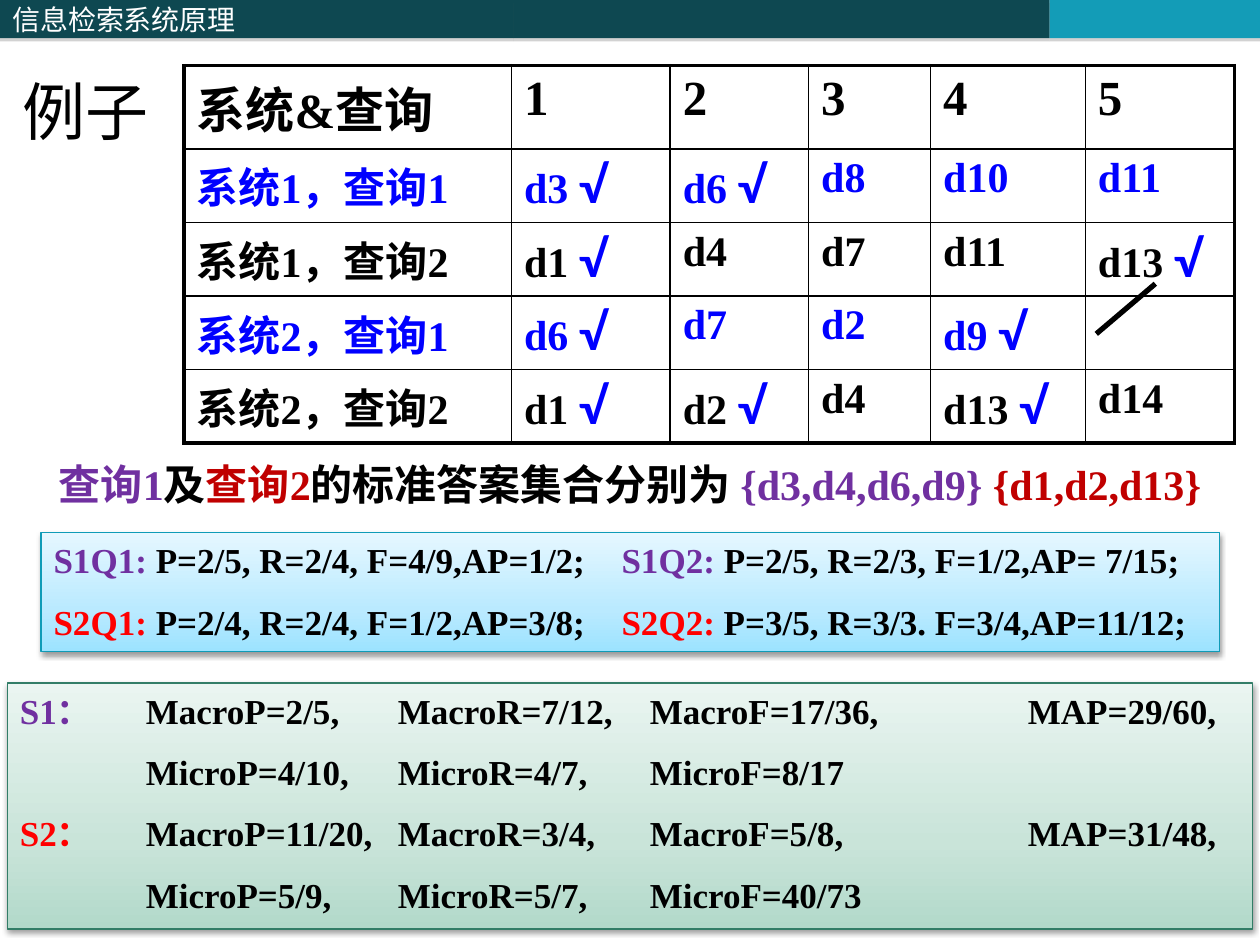
from copy import deepcopy
from lxml import etree
from pptx import Presentation
from pptx import util as u
from pptx.dml.color import RGBColor
from pptx.enum import shapes, text
from pptx.oxml import ns

BLACK = RGBColor(0, 0, 0)
WHITE = RGBColor(255, 255, 255)
BLUE = RGBColor(0, 0, 255)
RED = RGBColor(255, 0, 0)
DARK = RGBColor(0xC0, 0, 0)
PLUM = RGBColor(0x70, 0x30, 0xA0)
TEAL = RGBColor(0x0E, 0x48, 0x51)
CYAN = RGBColor(0x13, 0x9C, 0xB7)
SKY = [RGBColor(0x9D, 0xE3, 0xFF), RGBColor(0xBA, 0xEA, 0xFF), RGBColor(0xE5, 0xF7, 0xFF)]
MINT = [RGBColor(0xB2, 0xD9, 0xCA), RGBColor(0xC9, 0xE4, 0xD9), RGBColor(0xEA, 0xF5, 0xF1)]
SEA = RGBColor(0x0F, 0x9B, 0xB7)
PINE = RGBColor(0x32, 0x7D, 0x67)

SERIF, HAN, TICK = "Times New Roman", "Noto Sans CJK SC", "Lato"

bars = [(10.36, TEAL, "信息检索系统原理"), (10.8, TEAL, ""), (4.24, CYAN, "")]
cols = [6.6, 3.2, 2.79, 2.46, 3.12, 3.01]
rows = [
    (BLACK, ["系统&查询", "1", "2", "3", "4", "5"]),
    (BLUE, ["系统1，查询1", "d3 √", "d6 √", "d8", "d10", "d11"]),
    (BLACK, ["系统1，查询2", "d1 √", "d4", "d7", "d11", "d13 √"]),
    (BLUE, ["系统2，查询1", "d6 √", "d7", "d2", "d9 √", ""]),
    (BLACK, ["系统2，查询2", "d1 √", "d2 √", "d4", "d13 √", "d14"]),
]
answer = [
    ("查询1", PLUM), ("及", BLACK), ("查询2", DARK), ("的标准答案集合分别为 ", BLACK),
    ("{d3,d4,d6,d9} ", PLUM), ("{d1,d2,d13}", DARK),
]
boxes = [
    ((0.83, 10.74, 23.76, 2.39), SKY, SEA, [11.45], [
        [("S1Q1: ", PLUM), ("P=2/5, R=2/4, F=4/9,AP=1/2;\t", BLACK),
         ("S1Q2: ", PLUM), ("P=2/5, R=2/3, F=1/2,AP= 7/15;", BLACK)],
        [("S2Q1: ", RED), ("P=2/4, R=2/4, F=1/2,AP=3/8;\t", BLACK),
         ("S2Q2:", RED), (" P=3/5, R=3/3. F=3/4,AP=11/12;", BLACK)],
    ]),
    ((0.15, 13.77, 25.1, 4.96), MINT, PINE, [2.54, 7.62, 12.7, 20.32], [
        [("S1：\t", PLUM), ("MacroP=2/5,\tMacroR=7/12,\tMacroF=17/36,\tMAP=29/60,", BLACK)],
        [("\tMicroP=4/10,\tMicroR=4/7,\tMicroF=8/17", BLACK)],
        [("S2：\t", RED), ("MacroP=11/20,\tMacroR=3/4,\tMacroF=5/8,\tMAP=31/48,", BLACK)],
        [("\tMicroP=5/9,\tMicroR=5/7,\tMicroF=40/73", BLACK)],
    ]),
]


def put(obj, **vals):
    for key, val in vals.items():
        setattr(obj, key, val)


def sub(node, tag, **vals):
    return etree.SubElement(node, ns.qn(tag), {k: str(v) for k, v in vals.items()})


def say(par, words, hue, size, bold=True, face=SERIF, east=HAN):
    run = par.add_run()
    run.text = words
    put(run.font, name=face, size=u.Pt(size), bold=bold)
    run.font.color.rgb = hue
    sub(run.font._element, "a:ea", typeface=east)


def shade(shape, hue, alpha, blur, dist):
    shape.shadow.inherit = False
    glow = shape._element.spPr.find(ns.qn("a:effectLst"))
    drop = sub(glow, "a:outerShdw", blurRad=u.Pt(blur), dist=u.Pt(dist),
               dir=5400000, algn="t", rotWithShape=0)
    sub(sub(drop, "a:srgbClr", val=hue), "a:alpha", val=alpha * 1000)


def rect(slide, spot):
    return slide.shapes.add_shape(shapes.MSO_SHAPE.RECTANGLE, *map(u.Cm, spot))


def head(slide):
    left = 0
    for wide, hue, words in bars:
        bar = rect(slide, (left, 0, wide, 0.77))
        bar.fill.solid()
        bar.fill.fore_color.rgb = hue
        bar.line.fill.background()
        shade(bar, "808080", 35, 0, 1.8)
        if words:
            put(bar.text_frame, vertical_anchor=text.MSO_ANCHOR.MIDDLE)
            par = bar.text_frame.paragraphs[0]
            par.alignment = text.PP_ALIGN.LEFT
            say(par, words, WHITE, 16, False, HAN)
        left += wide


def edge(cell, row, col):
    ends = {"L": col == 0, "R": col == len(cols) - 1,
            "T": row == 0, "B": row == len(rows) - 1}
    prop = cell._tc.get_or_add_tcPr()
    for side, outer in ends.items():
        line = sub(prop, "a:ln" + side, w=u.Pt(2.25 if outer else 1))
        sub(sub(line, "a:solidFill"), "a:srgbClr", val="000000")


def grid(slide):
    high = 1.44
    spot = (3.71, 1.32, sum(cols), high * len(rows))
    tab = slide.shapes.add_table(len(rows), len(cols), *map(u.Cm, spot)).table
    put(tab, first_row=False, horz_banding=False)
    for col, wide in zip(tab.columns, cols):
        col.width = u.Cm(wide)
    for r, (hue, cells) in enumerate(rows):
        tab.rows[r].height = u.Cm(high)
        for c, words in enumerate(cells):
            cell = tab.cell(r, c)
            edge(cell, r, c)
            cell.fill.background()
            par = cell.text_frame.paragraphs[0]
            plain = words.rstrip("√")
            if plain:
                say(par, plain, hue, 24 if r else 28)
            if plain != words:
                say(par, "√", BLUE, 28, face=TICK, east=TICK)


def panel(slide, spot, hues, rim, tabs, lines):
    box = rect(slide, spot)
    box.fill.gradient()
    box.fill.gradient_angle = 90
    stops = next(box._element.spPr.iter(ns.qn("a:gsLst")))
    stops.append(deepcopy(stops[0]))
    for stop, hue, pos in zip(box.fill.gradient_stops, hues, (0, 0.35, 1)):
        stop.color.rgb = hue
        stop.position = pos
    box.line.color.rgb = rim
    box.line.width = u.Pt(0.75)
    shade(box, "000000", 38, 3.1, 1.6)
    frame = box.text_frame
    put(frame, word_wrap=True, vertical_anchor=text.MSO_ANCHOR.TOP)
    for i, runs in enumerate(lines):
        par = frame.add_paragraph() if i else frame.paragraphs[0]
        stops = sub(par._p.get_or_add_pPr(), "a:tabLst")
        for pos in tabs:
            sub(stops, "a:tab", pos=u.Cm(pos), algn="l")
        put(par, alignment=text.PP_ALIGN.LEFT, space_before=u.Pt(11 if i else 0))
        for words, hue in runs:
            say(par, words, hue, 20)


def main():
    deck = Presentation()
    put(deck, slide_width=u.Cm(25.4), slide_height=u.Cm(19.05))
    slide = deck.slides.add_slide(deck.slide_layouts[5])
    head(slide)

    title = slide.shapes.title
    put(title, left=u.Cm(0.2), top=u.Cm(1.32), width=u.Cm(3.1), height=u.Cm(1.8))
    put(title.text_frame, vertical_anchor=text.MSO_ANCHOR.BOTTOM,
        auto_size=text.MSO_AUTO_SIZE.NONE)
    par = title.text_frame.paragraphs[0]
    par.alignment = text.PP_ALIGN.LEFT
    say(par, "例子", BLACK, 36, False)

    for box in boxes:
        panel(slide, *box)
    grid(slide)

    note = slide.shapes.add_textbox(*map(u.Cm, (0, 9.12, 25.4, 1.27))).text_frame
    note.word_wrap = True
    par = note.paragraphs[0]
    par.alignment = text.PP_ALIGN.CENTER
    for words, hue in answer:
        say(par, words, hue, 24)

    ends = map(u.Cm, (23.29, 5.72, 22.1, 6.73))
    slash = slide.shapes.add_connector(shapes.MSO_CONNECTOR.STRAIGHT, *ends)
    slash.line.color.rgb = BLACK
    slash.line.width = u.Pt(3)
    sub(slash._element.spPr, "a:effectLst")
    deck.save("out.pptx")


if __name__ == "__main__":
    main()
